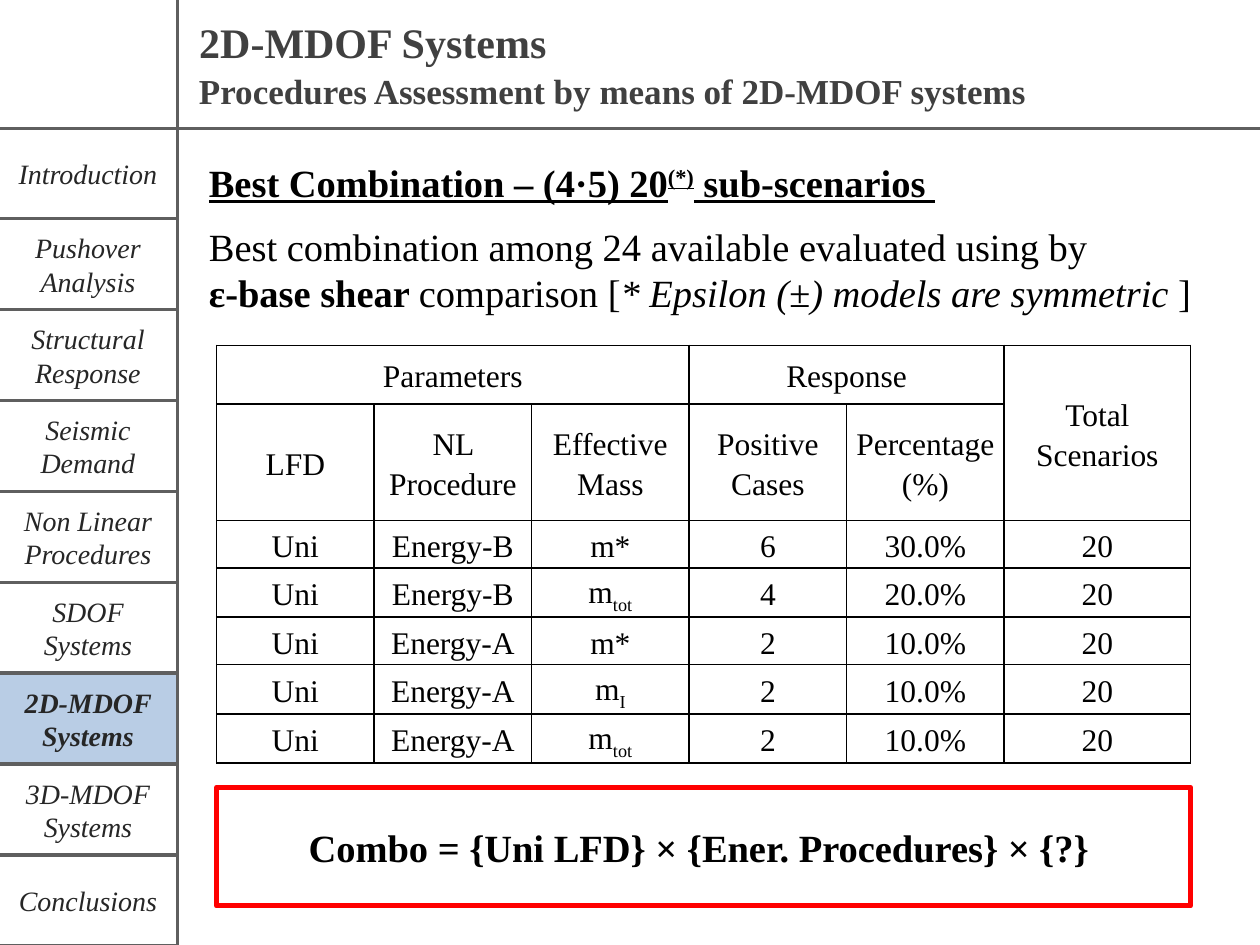
from lxml import etree
from pptx import Presentation
from pptx.dml.color import RGBColor
from pptx.enum.shapes import MSO_CONNECTOR, MSO_SHAPE
from pptx.enum.text import MSO_ANCHOR, PP_ALIGN
from pptx.oxml.ns import qn
from pptx.util import Pt

RECT, STRAIGHT = MSO_SHAPE.RECTANGLE, MSO_CONNECTOR.STRAIGHT
MIDDLE, TOP = MSO_ANCHOR.MIDDLE, MSO_ANCHOR.TOP
LEFT, CENTER = PP_ALIGN.LEFT, PP_ALIGN.CENTER
BLACK, WHITE = RGBColor(0, 0, 0), RGBColor(255, 255, 255)
RED, GRAY = RGBColor(255, 0, 0), RGBColor(0x5F, 0x5F, 0x5F)
HEADING, NAV_TEXT = RGBColor(0x40, 0x40, 0x40), RGBColor(0x26, 0x26, 0x26)
ACTIVE_FILL = RGBColor(0xB9, 0xCD, 0xE5)
FONT = "Times New Roman"

TITLE = "2D-MDOF Systems"
SUBTITLE = "Procedures Assessment by means of 2D-MDOF systems"
SECTIONS = ["Introduction", "Pushover Analysis", "Structural Response",
            "Seismic Demand", "Non Linear Procedures", "SDOF\nSystems",
            "2D-MDOF Systems", "3D-MDOF Systems", "Conclusions"]
ACTIVE = "2D-MDOF Systems"
COMBINATION = [[("Best Combination – (4·5) 20", {}), ("(*)", {"base": 30}),
                (" sub-scenarios ", {})]]
EXPLANATION = [
    [("Best combination among 24 available evaluated using by", {})],
    [("ε-base shear ", {"bold": True}), ("comparison [", {}),
     ("* Epsilon (±) models are symmetric ", {"italic": True}), ("]", {})],
]
CONCLUSION = "Combo = {Uni LFD} × {Ener. Procedures} × {?} "
ROWS = [
    ["Parameters", "", "", "Response", "", "Total Scenarios"],
    ["LFD", "NL Procedure", "Effective Mass", "Positive Cases", "Percentage (%)", ""],
    ["Uni", "Energy-B", "m*", "6", "30.0%", "20"],
    ["Uni", "Energy-B", ("m", "tot"), "4", "20.0%", "20"],
    ["Uni", "Energy-A", "m*", "2", "10.0%", "20"],
    ["Uni", "Energy-A", ("m", "I"), "2", "10.0%", "20"],
    ["Uni", "Energy-A", ("m", "tot"), "2", "10.0%", "20"],
]
MERGES = [((0, 0), (0, 2)), ((0, 3), (0, 4)), ((0, 5), (1, 5))]
COL_WIDTHS = [90] * 5 + [106.6]
ROW_HEIGHTS = [33.6, 66.6] + [27] * 4 + [28]

WIDTH, HEIGHT = 720, 540
NAV_W, NAV_H, NAV_TOP, NAV_PITCH = 102, 51, 73.5, 51.95
RULE_X, RULE_Y = 101.5, 73.4
CONTENT_X, CONTENT_W = 123.8, 556.6


def style(font, size, color, bold=False, italic=False, underline=False):
    font.name, font.size = FONT, Pt(size)
    font.color.rgb = color
    font.bold, font.italic, font.underline = bold, italic, underline


def write(tf, paragraphs, size, color, align=LEFT, spacing=None, **base_style):
    tf.word_wrap = True
    for i, runs in enumerate(paragraphs):
        p = tf.paragraphs[0] if i == 0 else tf.add_paragraph()
        p.alignment = align
        if spacing:
            p.line_spacing = spacing
        for text, extra in runs:
            r = p.add_run()
            r.text = text
            options = {**base_style, **extra}
            baseline = options.pop("base", 0)
            style(r.font, size, color, **options)
            if baseline:
                r.font._element.set("baseline", str(baseline * 1000))


def plain(text):
    return [[(line, {})] for line in text.split("\n")]


def add_text(s, x, y, w, h, paragraphs, size, color, **options):
    sp = s.shapes.add_textbox(Pt(x), Pt(y), Pt(w), Pt(h))
    write(sp.text_frame, paragraphs, size, color, **options)


def add_box(s, x, y, w, h, text, size, color, line, line_w, fill=None, **options):
    sp = s.shapes.add_shape(RECT, Pt(x), Pt(y), Pt(w), Pt(h))
    sp.shadow.inherit = False
    if fill is None:
        sp.fill.background()
    else:
        sp.fill.solid()
        sp.fill.fore_color.rgb = fill
    sp.line.color.rgb, sp.line.width = line, Pt(line_w)
    sp.text_frame.vertical_anchor = MIDDLE
    write(sp.text_frame, plain(text), size, color, align=CENTER, **options)


def add_rule(s, x1, y1, x2, y2):
    c = s.shapes.add_connector(STRAIGHT, Pt(x1), Pt(y1), Pt(x2), Pt(y2))
    c.line.color.rgb, c.line.width = GRAY, Pt(2)
    etree.SubElement(c._element.spPr, qn("a:effectLst"))


def format_cell(cell):
    cell.vertical_anchor = MIDDLE
    cell.margin_left = cell.margin_right = Pt(5)
    cell.margin_top = cell.margin_bottom = 0
    cell.fill.solid()
    cell.fill.fore_color.rgb = WHITE
    tcPr = cell._tc.get_or_add_tcPr()
    for i, side in enumerate(("lnL", "lnR", "lnT", "lnB")):
        ln = etree.Element(qn("a:" + side), w=str(Pt(1)))
        solid = etree.SubElement(ln, qn("a:solidFill"))
        etree.SubElement(solid, qn("a:srgbClr"), val=str(BLACK))
        tcPr.insert(i, ln)


def add_results(s):
    table = s.shapes.add_table(len(ROWS), len(COL_WIDTHS), Pt(CONTENT_X), Pt(197.3),
                               Pt(sum(COL_WIDTHS)), Pt(sum(ROW_HEIGHTS))).table
    for col, w in zip(table.columns, COL_WIDTHS):
        col.width = Pt(w)
    for row, h in zip(table.rows, ROW_HEIGHTS):
        row.height = Pt(h)
    for start, end in MERGES:
        table.cell(*start).merge(table.cell(*end))
    for i, row in enumerate(ROWS):
        for j, value in enumerate(row):
            cell = table.cell(i, j)
            format_cell(cell)
            if isinstance(value, tuple):
                runs = [(value[0], {}), (value[1], {"base": -25})]
            else:
                runs = [(value, {})]
            if value:
                write(cell.text_frame, [runs], 18, BLACK, align=CENTER, spacing=1.15)


def main():
    prs = Presentation()
    prs.slide_width, prs.slide_height = Pt(WIDTH), Pt(HEIGHT)
    s = prs.slides.add_slide(prs.slide_layouts[5])

    title = s.shapes.title
    title.left, title.top, title.width, title.height = Pt(106.6), Pt(5.8), Pt(590), Pt(36)
    title.text_frame.vertical_anchor = TOP
    write(title.text_frame, plain(TITLE), 24, HEADING, bold=True)

    for i, section in enumerate(SECTIONS):
        active = section == ACTIVE
        add_box(s, -0.7, NAV_TOP + i * NAV_PITCH, NAV_W, NAV_H, section, 16, NAV_TEXT,
                GRAY, 1, fill=ACTIVE_FILL if active else None, bold=active, italic=True)

    add_text(s, 106.6, 36, 590, 31.5, plain(SUBTITLE), 20, HEADING, bold=True)
    add_rule(s, 0, RULE_Y, WIDTH, RULE_Y)
    add_rule(s, RULE_X, 0, RULE_X, HEIGHT)
    add_text(s, 112.3, 87.1, 585, 34, COMBINATION, 22, BLACK, bold=True, underline=True)
    add_text(s, 112.3, 123.8, 580, 60.5, EXPLANATION, 22, BLACK)
    add_results(s)
    add_box(s, CONTENT_X, 450, CONTENT_W, 67.7, CONCLUSION, 22, BLACK, RED, 3,
            fill=WHITE, bold=True)
    prs.save("out.pptx")


if __name__ == "__main__":
    main()
